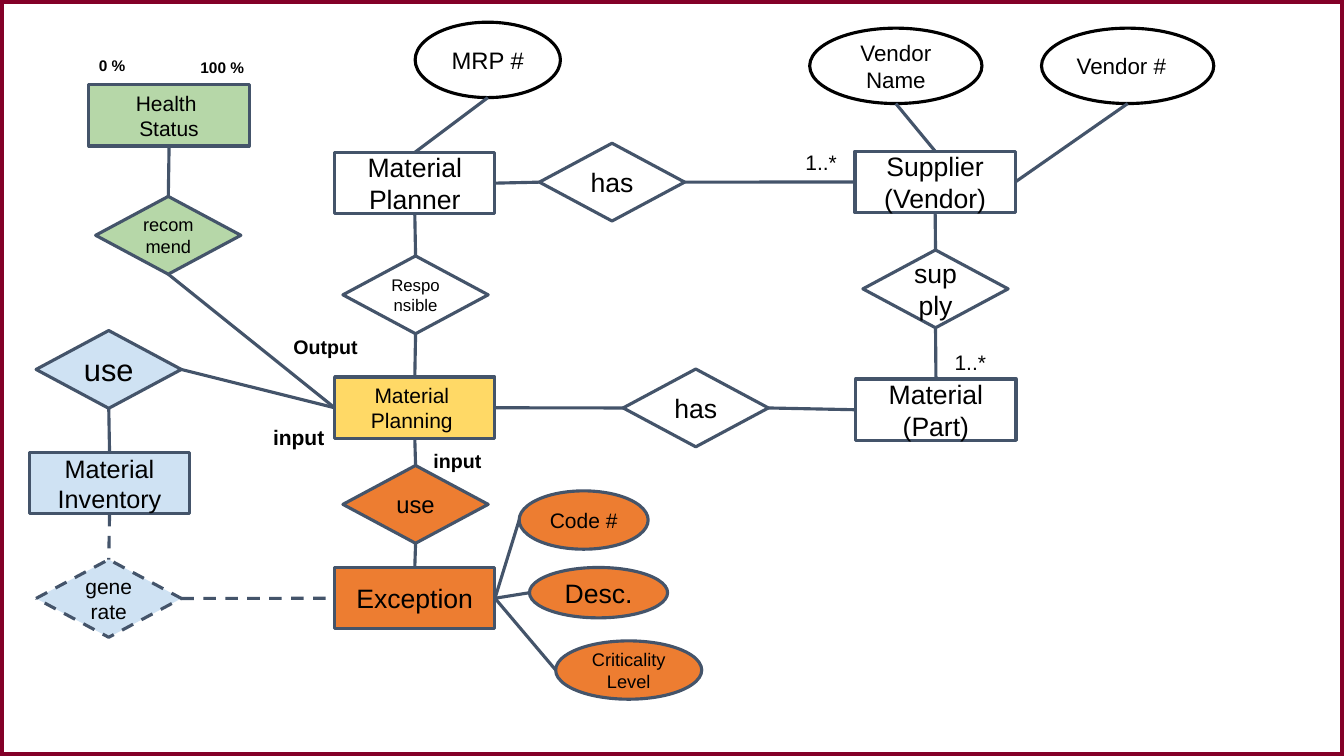
import lxml.etree
import pptx
import pptx.dml.color
import pptx.enum.dml
import pptx.enum.shapes
import pptx.enum.text
import pptx.oxml.ns
import pptx.util

Cm, Pt = pptx.util.Cm, pptx.util.Pt
SHAPE = pptx.enum.shapes.MSO_SHAPE
ALIGN = pptx.enum.text.PP_ALIGN
ANCHOR = pptx.enum.text.MSO_ANCHOR
DASH = pptx.enum.dml.MSO_LINE.DASH

WHITE, BLACK, SLATE, MAROON = "FFFFFF", "000000", "44546A", "830028"
GREEN, YELLOW, BLUE, ORANGE = "B6D7A8", "FFD966", "CFE2F3", "ED7D31"
ENTITY_SIZE = (4.04, 1.55)
RELATION_SIZE = (3.66, 1.96)
MARGINS = {f"margin_{side}": Cm(0.25) for side in ("left", "top", "right", "bottom")}


def color(hex_code):
    return pptx.dml.color.RGBColor.from_string(hex_code)


def write(part, text, size, anchor, align, bold=False):
    """Put formatted text into a shape or text box, one paragraph per line."""
    frame = part.text_frame
    frame.text = text
    for name, value in {**MARGINS, "word_wrap": True, "vertical_anchor": anchor}.items():
        setattr(frame, name, value)
    for paragraph in frame.paragraphs:
        paragraph.alignment = align
        for run in paragraph.runs:
            for name, value in {"name": "Arial", "size": Pt(size), "bold": bold}.items():
                setattr(run.font, name, value)
            run.font.color.rgb = color(BLACK)


deck = pptx.Presentation()
deck.slide_width, deck.slide_height = Cm(33.86), Cm(19.05)
slide = deck.slides.add_slide(deck.slide_layouts[6])

frame_border = slide.shapes.add_shape(SHAPE.RECTANGLE, 0, 0, deck.slide_width, deck.slide_height)
frame_border.shadow.inherit = False
frame_border.fill.background()
frame_border.line.color.rgb = color(MAROON)
frame_border.line.width = Pt(6)

# key: left, top, text, font size, fill
entities = {
    "planner": (8.43, 3.84, "Material\nPlanner", 19, WHITE),
    "supplier": (21.54, 3.81, "Supplier\n(Vendor)", 19, WHITE),
    "part": (21.56, 9.55, "Material\n(Part)", 19, WHITE),
    "planning": (8.43, 9.5, "Material \nPlanning ", 15, YELLOW),
    "inventory": (0.74, 11.4, "Material Inventory", 18, BLUE),
    "exception": (8.43, 14.3, "Exception", 19, ORANGE),
    "health": (2.24, 2.13, "Health \nStatus", 15, GREEN),
}
relations = {
    "planner has": (13.59, 3.61, "has", 19, WHITE),
    "supply": (21.74, 6.3, "supply", 19, WHITE),
    "planning has": (15.7, 9.3, "has", 19, WHITE),
    "responsible": (8.64, 6.45, "Responsible", 12, WHITE),
    "use inventory": (0.91, 8.33, "use", 22, BLUE),
    "use exception": (8.64, 11.73, "use", 17, ORANGE),
    "generate": (0.91, 14.1, "generate", 15, BLUE),
    "recommend": (2.41, 4.95, "recommend", 13, GREEN),
}
# the same, then width and height
attributes = {
    "mrp": (10.46, 0.56, "MRP #", 17, WHITE, 3.66, 1.9),
    "vendor number": (26.24, 0.71, "Vendor #", 16, WHITE, 4.34, 1.9),
    "vendor name": (20.4, 0.71, "Vendor Name", 16, WHITE, 4.34, 1.9),
    "code": (13.08, 12.37, "Code #", 15, ORANGE, 3.25, 1.47),
    "description": (13.34, 14.3, "Desc.", 19, ORANGE, 3.48, 1.27),
    "criticality": (14, 16.15, "Criticality\nLevel", 13, ORANGE, 3.68, 1.47),
}

nodes = {}
for group, outline, default_size in (
    (entities, SHAPE.RECTANGLE, ENTITY_SIZE),
    (relations, SHAPE.FLOWCHART_DECISION, RELATION_SIZE),
    (attributes, SHAPE.OVAL, ()),
):
    for key, (left, top, text, size, fill, *own_size) in group.items():
        box = (left, top, *(own_size or default_size))
        node = slide.shapes.add_shape(outline, *map(Cm, box))
        node.shadow.inherit = False
        node.fill.solid()
        node.fill.fore_color.rgb = color(fill)
        white_attribute = group is attributes and fill == WHITE
        node.line.color.rgb = color(BLACK if white_attribute else SLATE)
        node.line.width = Pt(2.25)
        align = ALIGN.LEFT if key == "vendor number" else ALIGN.CENTER
        write(node, text, size, ANCHOR.MIDDLE, align)
        nodes[key] = node
nodes["generate"].line.dash_style = DASH

# order of the sides is that of the connection sites
SIDES = ["top", "left", "bottom", "right"]
SIDE_POINTS = [(0.5, 0), (0, 0.5), (0.5, 1), (1, 0.5)]
links = [
    ("planner", "top", "mrp", "bottom"),
    ("planner", "right", "planner has", "left"),
    ("planner has", "right", "supplier", "left"),
    ("supplier", "top", "vendor name", "bottom"),
    ("supplier", "right", "vendor number", "bottom"),
    ("supply", "top", "supplier", "bottom"),
    ("part", "top", "supply", "bottom"),
    ("responsible", "top", "planner", "bottom"),
    ("planning", "top", "responsible", "bottom"),
    ("part", "left", "planning has", "right"),
    ("planning has", "left", "planning", "right"),
    ("planning", "left", "use inventory", "right"),
    ("use inventory", "bottom", "inventory", "top"),
    ("planning", "bottom", "use exception", "top"),
    ("use exception", "bottom", "exception", "top"),
    ("health", "bottom", "recommend", "top"),
    ("recommend", "bottom", "planning", "left"),
    ("exception", "right", "code", "left"),
    ("exception", "right", "description", "left"),
    ("exception", "right", "criticality", "left"),
    ("inventory", "bottom", "generate", "top"),
    ("generate", "right", "exception", "left"),
]
for start, start_side, end, end_side in links:
    ends = []
    for key, side in ((start, start_side), (end, end_side)):
        across, down = SIDE_POINTS[SIDES.index(side)]
        node = nodes[key]
        ends += [int(node.left + across * node.width), int(node.top + down * node.height)]
    link = slide.shapes.add_connector(pptx.enum.shapes.MSO_CONNECTOR.STRAIGHT, *ends)
    link.begin_connect(nodes[start], SIDES.index(start_side))
    if end not in attributes:  # ellipses number their sites differently
        link.end_connect(nodes[end], SIDES.index(end_side))
    link.line.color.rgb = color(SLATE)
    link.line.width = Pt(2.25)
    if "generate" in (start, end):
        link.line.dash_style = DASH
    lxml.etree.SubElement(link._element.spPr, pptx.oxml.ns.qn("a:effectLst"))

# left, top, width, text, font size, bold
labels = [
    (20.04, 3.51, 1.8, "1..*", 15, False),
    (23.8, 8.56, 1.8, "1..*", 15, False),
    (7.14, 8.18, 2.31, "Output", 14, True),
    (10.67, 11.07, 1.8, "input", 14, True),
    (6.63, 10.46, 1.9, "input", 15, True),
    (2.24, 1.19, 1.9, "0 %", 11, True),
    (4.8, 1.22, 1.9, "100 %", 11, True),
]
for left, top, width, text, size, bold in labels:
    label = slide.shapes.add_textbox(Cm(left), Cm(top), Cm(width), Cm(1.1))
    write(label, text, size, ANCHOR.TOP, ALIGN.LEFT, bold)

deck.save("out.pptx")
